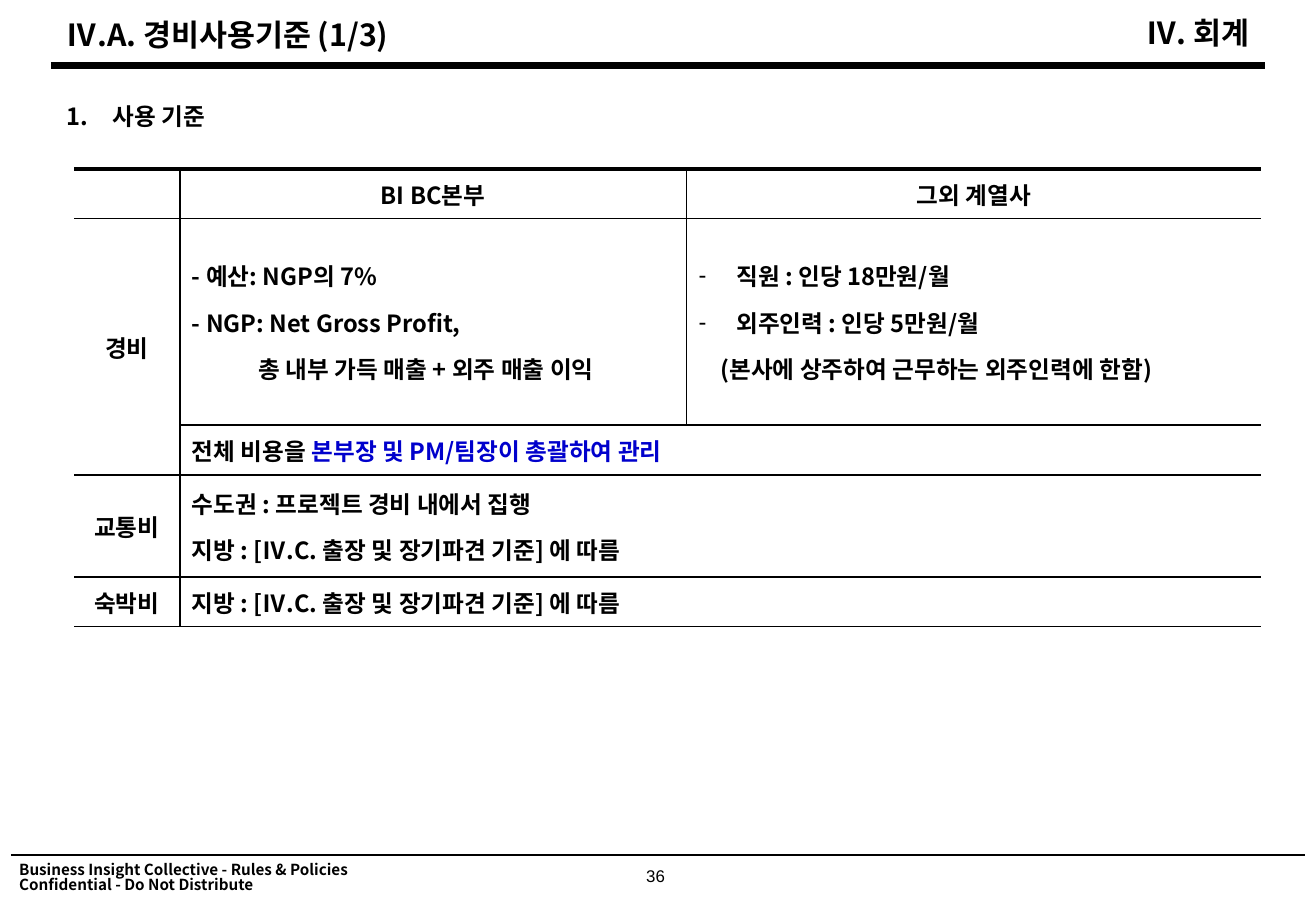
from dataclasses import dataclass

from lxml import etree
from pptx import Presentation
from pptx import util as u
from pptx.dml.color import RGBColor
from pptx.enum import shapes, text
from pptx.oxml.ns import qn

PX = 9144  # EMU, 100 px to the inch
ALIGN = text.PP_ALIGN


@dataclass(frozen=True)
class Theme:
    font: str = "Noto Sans CJK KR"
    number_font: str = "Arial"
    ink: str = "000000"
    accent: str = "0000CC"
    title: int = 18
    body: int = 14
    page: int = 10
    footer: int = 9
    gap: int = 7
    no_grid: str = "{2D5ABB26-0587-4C30-8999-92F81FD0307C}"


T = Theme()


def px(*lengths):
    return [u.Emu(n * PX) for n in lengths]


def sub(parent, tag, **attrs):
    return etree.SubElement(parent, qn(tag), {k: str(v) for k, v in attrs.items()})


def write(tf, content, new=True, size=T.body, color=T.ink, font=T.font, bold=True,
          align=ALIGN.LEFT, before=T.gap, spacing=None, left=0, hang=0, bullet=None):
    """Add a paragraph, or with new=False a run at the end of the last one."""
    p = tf.paragraphs[-1]
    if new:
        first = not p.runs
        p = p if first else tf.add_paragraph()
        p.alignment = align
        p.space_before = u.Pt(0 if first else before)
        if spacing:
            p.line_spacing = spacing
        pPr = p._p.get_or_add_pPr()
        pPr.set("marL", str(left * PX))
        pPr.set("indent", str(-hang * PX))
        if bullet == "1.":
            sub(pPr, "a:buAutoNum", type="arabicPeriod")
        elif bullet:
            sub(pPr, "a:buFont", typeface=T.number_font)
            sub(pPr, "a:buChar", char=bullet)
        else:
            sub(pPr, "a:buNone")
    r = p.add_run()
    r.text = content
    r.font.size, r.font.bold, r.font.name = u.Pt(size), bold, font
    r.font.color.rgb = RGBColor.from_string(color)
    sub(r._r.get_or_add_rPr(), "a:ea", typeface=font)


def frame(sp, top=0, wrap=True):
    tf = sp.text_frame
    tf.auto_size = text.MSO_AUTO_SIZE.NONE
    tf.word_wrap = wrap
    tf.vertical_anchor = text.MSO_ANCHOR.TOP
    tf.margin_left, tf.margin_right, tf.margin_top, tf.margin_bottom = px(10, 10, top, top)
    return tf


def placeholder(sp, *box):
    sp.left, sp.top, sp.width, sp.height = px(*box)
    return frame(sp)


def text_box(s, *box, **kwargs):
    return frame(s.shapes.add_textbox(*px(*box)), **kwargs)


def rule(s, x1, x2, y, weight):
    line = s.shapes.add_connector(shapes.MSO_CONNECTOR.STRAIGHT, *px(x1, y, x2, y))
    line.line.width = u.Pt(weight)
    line.line.color.rgb = RGBColor.from_string(T.ink)
    sub(line._element.spPr, "a:effectLst")


def borders(cell, **weights):
    """Draw cell edges; weights are points keyed L, R, T, B in that order."""
    tcPr = cell._tc.get_or_add_tcPr()
    for side, weight in weights.items():
        if weight:
            ln = sub(tcPr, "a:ln" + side, w=u.Pt(weight))
            sub(sub(ln, "a:solidFill"), "a:srgbClr", val=T.ink)


def expense_table(s):
    widths, heights = px(87, 417, 473), px(41, 170, 41, 84, 41)
    table = s.shapes.add_table(len(heights), len(widths), *px(61, 139),
                               sum(widths), sum(heights)).table
    table.first_row = table.horz_banding = False
    table._tbl.tblPr.find(qn("a:tableStyleId")).text = T.no_grid
    for col, width in zip(table.columns, widths):
        col.width = width
    for row, height in zip(table.rows, heights):
        row.height = height

    table.cell(1, 0).merge(table.cell(2, 0))
    for r in (2, 3, 4):
        table.cell(r, 1).merge(table.cell(r, 2))

    for r in range(len(heights)):
        for c in range(len(widths)):
            cell = table.cell(r, c)
            cell.vertical_anchor = text.MSO_ANCHOR.MIDDLE
            if not cell.is_spanned:
                span = cell.span_width if cell.is_merge_origin else 1
                borders(cell, L=c > 0, R=c + span < len(widths), T=1 if r else 2.25, B=1)
            cell.fill.background()
    return table


def fill_table(table):
    def tf(r, c):
        return table.cell(r, c).text_frame

    headings = {(0, 1): "BI BC본부", (0, 2): "그외 계열사",
                (1, 0): "경비", (3, 0): "교통비", (4, 0): "숙박비"}
    for place, heading in headings.items():
        write(tf(*place), heading, align=ALIGN.CENTER)

    write(tf(1, 1), "- 예산: NGP의 7%")
    write(tf(1, 1), "- NGP: Net Gross Profit,")
    write(tf(1, 1), "총 내부 가득 매출 + 외주 매출 이익", left=55)

    for item in ("직원 : 인당 18만원/월", "외주인력 : 인당 5만원/월"):
        write(tf(1, 2), item, left=31, hang=31, bullet="-")
    write(tf(1, 2), "(본사에 상주하여 근무하는 외주인력에 한함)", left=18)

    write(tf(2, 1), "전체 비용을 ")
    write(tf(2, 1), "본부장 및 PM/팀장이 총괄하여 관리", new=False, color=T.accent)

    write(tf(3, 1), "수도권 : 프로젝트 경비 내에서 집행")
    for r in (3, 4):
        write(tf(r, 1), "지방 : [Ⅳ.C. 출장 및 장기파견 기준] 에 따름")


def main():
    prs = Presentation()
    prs.slide_width, prs.slide_height = px(1083, 750)
    s = prs.slides.add_slide(prs.slide_layouts[1])

    rule(s, 9, 1074, 704, 1)
    rule(s, 42, 1041, 54, 4)

    write(placeholder(s.shapes.title, 45, 13, 646, 40), "Ⅳ.A. 경비사용기준 (1/3)", size=T.title)
    write(text_box(s, 802, 12, 236, 40), "Ⅳ. 회계", size=T.title, align=ALIGN.RIGHT)
    write(placeholder(s.placeholders[1], 45, 84, 999, 40), "사용 기준",
          left=38, hang=38, bullet="1.")

    fill_table(expense_table(s))

    footer = text_box(s, 6, 706, 303, 40, top=5)
    for line in ("Business Insight Collective - Rules & Policies",
                 "Confidential - Do Not Distribute"):
        write(footer, line, size=T.footer, before=0, spacing=0.82)
    write(text_box(s, 521, 710, 37, 37, top=5, wrap=False), "36", size=T.page,
          font=T.number_font, bold=False, align=ALIGN.CENTER, spacing=0.9)

    prs.save("out.pptx")


if __name__ == "__main__":
    main()
